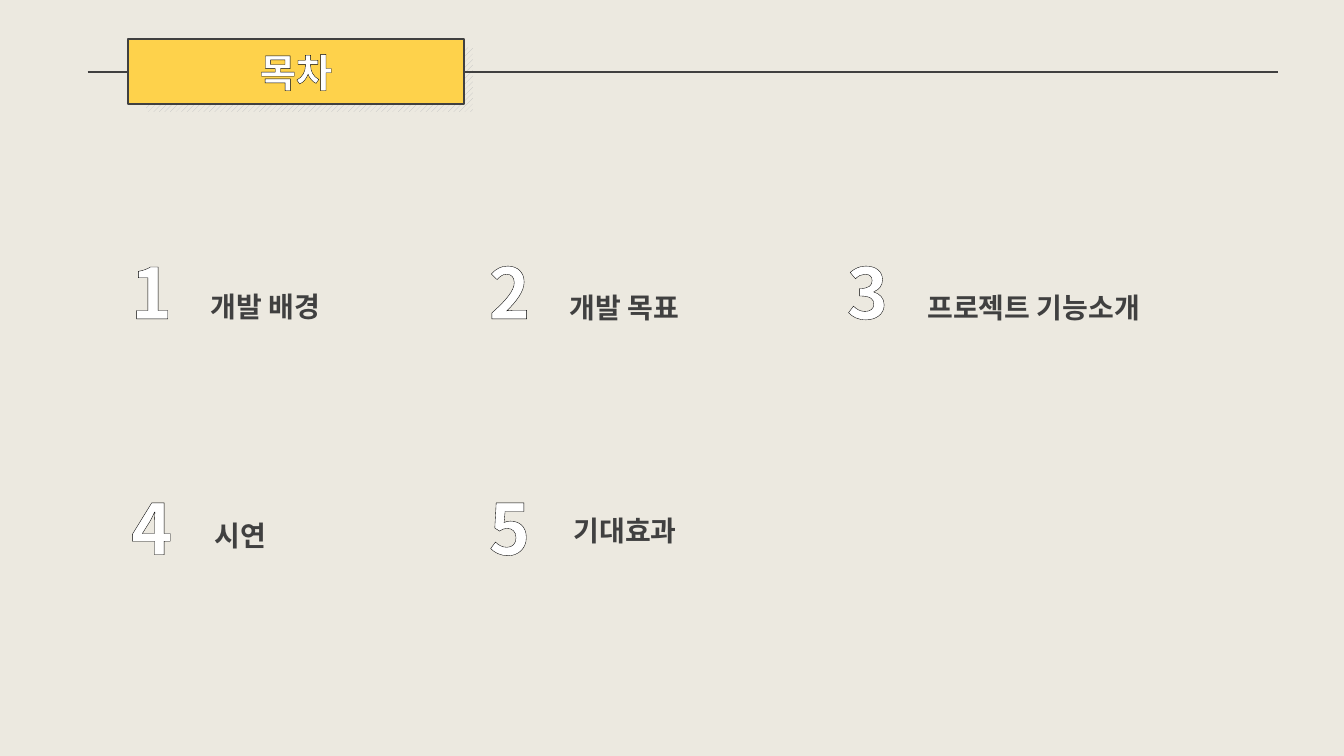
from dataclasses import dataclass

from lxml import etree
from pptx import Presentation
from pptx.dml.color import RGBColor
from pptx.enum.dml import MSO_PATTERN
from pptx.enum.shapes import MSO_CONNECTOR, MSO_SHAPE
from pptx.enum.text import MSO_ANCHOR, MSO_AUTO_SIZE, PP_ALIGN
from pptx.oxml import parse_xml
from pptx.oxml.ns import nsdecls, qn
from pptx.util import Inches, Pt


@dataclass(frozen=True)
class Theme:
    font: str = "Noto Sans CJK KR"
    paper: str = "ECE9E0"
    hatch: str = "BFBFBF"
    ink: str = "404040"
    accent: str = "FED24B"
    white: str = "FFFFFF"
    outline: str = "000000"
    title_size: int = 28
    number_size: int = 50
    label_size: int = 20
    line_width: float = 1.5
    outline_width: float = 0.75


class ContentsSlide:
    def __init__(self, prs, theme):
        self.theme = theme
        self.s = prs.slides.add_slide(prs.slide_layouts[6])
        bg = self.s.background.fill
        bg.solid()
        bg.fore_color.rgb = RGBColor.from_string(theme.paper)

    def run(self, p, text, size, color, outlined=False):
        r = p.add_run()
        r.text = text
        r.font.name = self.theme.font
        r.font.size = Pt(size)
        r.font.bold = True
        r.font.color.rgb = RGBColor.from_string(color)
        rPr = r.font._element
        # East Asian typeface follows the Latin one
        ea = etree.Element(qn("a:ea"), typeface=self.theme.font)
        rPr.find(qn("a:latin")).addnext(ea)
        if outlined:
            rPr.insert(0, parse_xml(
                f'<a:ln {nsdecls("a")} w="{Pt(self.theme.outline_width)}"><a:solidFill>'
                f'<a:srgbClr val="{self.theme.outline}"/></a:solidFill></a:ln>'))

    def stroke(self, line):
        line.color.rgb = RGBColor.from_string(self.theme.ink)
        line.width = Pt(self.theme.line_width)

    def rect(self, x, y, w, h):
        sp = self.s.shapes.add_shape(
            MSO_SHAPE.RECTANGLE, Inches(x), Inches(y), Inches(w), Inches(h))
        sp.shadow.inherit = False
        return sp

    def hatched(self, x, y, w, h):
        sp = self.rect(x, y, w, h)
        sp.fill.patterned()
        sp.fill.pattern = MSO_PATTERN.WIDE_UPWARD_DIAGONAL
        sp.fill.fore_color.rgb = RGBColor.from_string(self.theme.hatch)
        sp.fill.back_color.rgb = RGBColor.from_string(self.theme.paper)
        sp.line.fill.background()

    def rule(self, x1, x2, y):
        cxn = self.s.shapes.add_connector(
            MSO_CONNECTOR.STRAIGHT, Inches(x1), Inches(y), Inches(x2), Inches(y))
        self.stroke(cxn.line)
        etree.SubElement(cxn._element.spPr, qn("a:effectLst"))

    def title(self, text, x, y, w, h):
        sp = self.rect(x, y, w, h)
        sp.fill.solid()
        sp.fill.fore_color.rgb = RGBColor.from_string(self.theme.accent)
        self.stroke(sp.line)
        tf = sp.text_frame
        tf.vertical_anchor = MSO_ANCHOR.MIDDLE
        p = tf.paragraphs[0]
        p.alignment = PP_ALIGN.CENTER
        self.run(p, text, self.theme.title_size, self.theme.white, outlined=True)

    def text(self, text, x, y, w, h, size, color, outlined=False):
        tf = self.s.shapes.add_textbox(
            Inches(x), Inches(y), Inches(w), Inches(h)).text_frame
        tf.word_wrap = True
        tf.auto_size = MSO_AUTO_SIZE.SHAPE_TO_FIT_TEXT
        self.run(tf.paragraphs[0], text, size, color, outlined)

    def number(self, n, x, y, w):
        self.text(str(n), x, y, w, 0.94, self.theme.number_size,
                  self.theme.white, outlined=True)

    def label(self, text, x, y, w):
        self.text(text, x, y, w, 0.44, self.theme.label_size, self.theme.ink)


def main():
    prs = Presentation()
    prs.slide_width, prs.slide_height = Inches(13.33), Inches(7.5)
    s = ContentsSlide(prs, Theme())

    # Header: hatched shade, rule, title plate
    s.hatched(1.45, 0.47, 3.24, 0.64)
    s.rule(0.87, 12.68, 0.71)
    s.title("목차", 1.27, 0.39, 3.33, 0.64)

    # Contents, three to a row: label, number width, label left, top and width
    items = [
        ("개발 배경", 0.69, 1.99, 2.82, 1.74),
        ("개발 목표", 0.41, 5.55, 2.83, 1.74),
        ("프로젝트 기능소개", 0.41, 9.1, 2.83, 3.46),
        ("시연", 0.41, 2.03, 5.09, 1.74),
        ("기대효과", 0.41, 5.59, 5.05, 1.74),
    ]
    for i, (label, number_w, x, y, w) in enumerate(items):
        row, col = divmod(i, 3)
        s.number(i + 1, 1.2 + 3.55 * col, 2.42 + 2.34 * row, number_w)
        s.label(label, x, y, w)

    prs.save("out.pptx")


if __name__ == "__main__":
    main()
